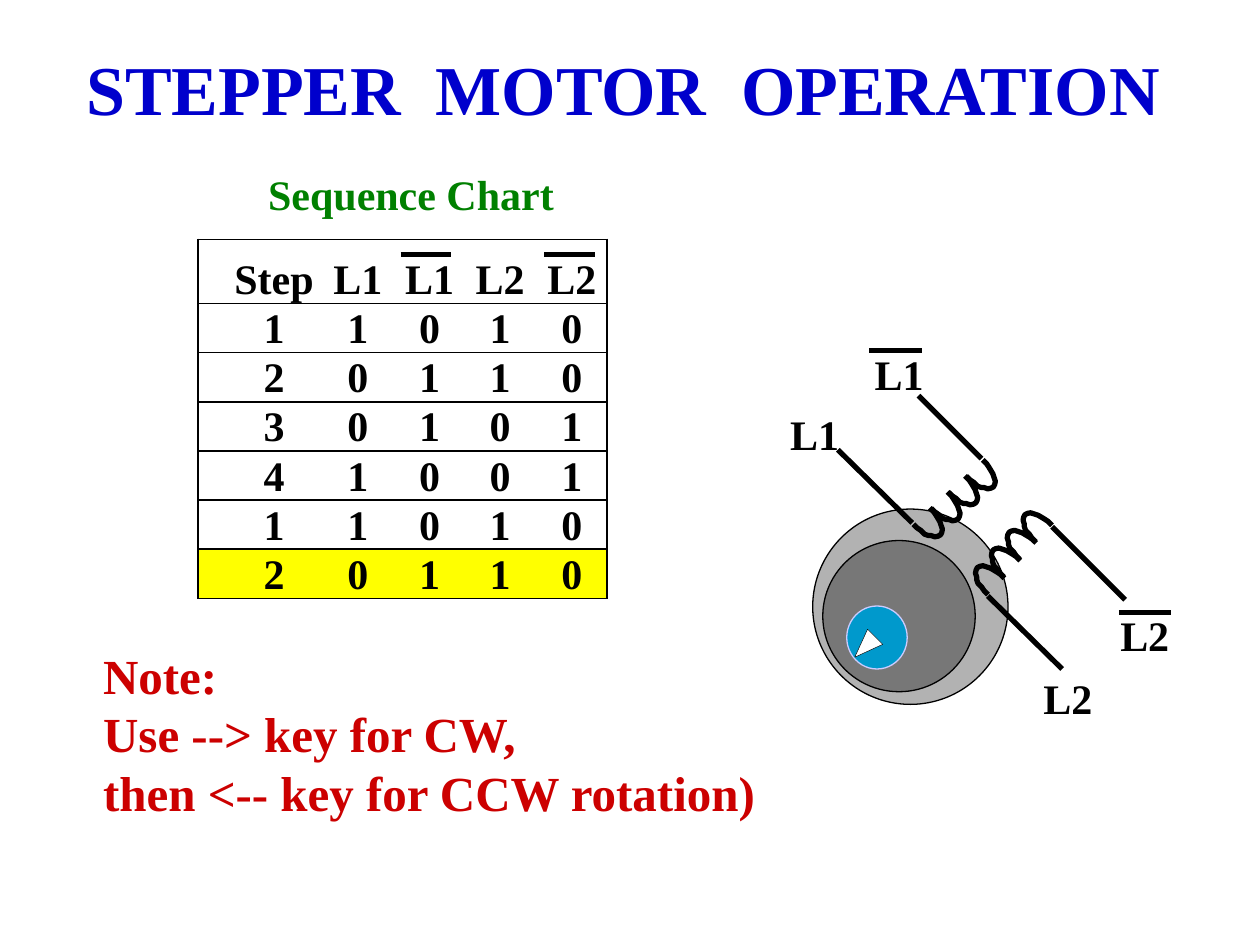
from dataclasses import dataclass
from typing import Any

from pptx import Presentation
from pptx.dml.color import RGBColor
from pptx.enum.shapes import MSO_CONNECTOR, MSO_SHAPE
from pptx.enum.text import MSO_ANCHOR, MSO_AUTO_SIZE, PP_ALIGN
from pptx.oxml import parse_xml
from pptx.oxml.ns import nsdecls
from pptx.util import Inches, Pt
from lxml.etree import SubElement

GRID_COLUMNS, GRID_ROWS = 1000, 750
DRAWING = "{http://schemas.openxmlformats.org/drawingml/2006/main}"
BLACK, WHITE, YELLOW = "000000", "FFFFFF", "FFFF00"

deck = Presentation()
deck.slide_width, deck.slide_height = Inches(10), Inches(7.5)


@dataclass(frozen=True)
class Area:
    column: float
    row: float
    columns: float
    rows: float

    def lengths(self) -> tuple[int, ...]:
        return (across(self.column), down(self.row),
                across(self.columns), down(self.rows))


@dataclass(frozen=True)
class Solid:
    kind: MSO_SHAPE
    area: Area
    fill: str
    outline: str = BLACK
    weight: float = 0.75
    rotation: float = 0


@dataclass(frozen=True)
class Caption:
    text: str
    area: Area
    size: int = 24
    colour: str = BLACK
    alignment: PP_ALIGN = PP_ALIGN.CENTER


@dataclass(frozen=True)
class Coil:
    start: tuple[float, float]
    step: tuple[float, float]
    mirrored: bool


@dataclass(frozen=True)
class Stroke:
    start: tuple[float, float]
    end: tuple[float, float]


def across(columns: float) -> int:
    return round(deck.slide_width * columns / GRID_COLUMNS)


def down(rows: float) -> int:
    return round(deck.slide_height * rows / GRID_ROWS)


def colour_of(value: str) -> RGBColor:
    return RGBColor.from_string(value)


def apply(target: Any, values: dict[str, Any]) -> None:
    for name, value in values.items():
        setattr(target, name, value)


def write(frame: Any, text: str, size: int, colour: str, alignment: PP_ALIGN) -> None:
    for index, line in enumerate(text.split("\n")):
        para = frame.paragraphs[0] if index == 0 else frame.add_paragraph()
        para.alignment = alignment
        span = para.add_run()
        span.text = line
        apply(span.font, {"name": "Times New Roman", "size": Pt(size), "bold": True})
        span.font.color.rgb = colour_of(colour)


def fill_caption(box: Any, caption: Caption) -> None:
    apply(box, dict(zip(("left", "top", "width", "height"), caption.area.lengths())))
    apply(box.text_frame, {"word_wrap": False, "auto_size": MSO_AUTO_SIZE.NONE,
                           "vertical_anchor": MSO_ANCHOR.MIDDLE})
    write(box.text_frame, caption.text, caption.size, caption.colour, caption.alignment)


def draw_caption(page: Any, caption: Caption) -> None:
    fill_caption(page.shapes.add_textbox(*caption.area.lengths()), caption)


def draw_solid(page: Any, solid: Solid) -> None:
    shape = page.shapes.add_shape(solid.kind, *solid.area.lengths())
    shape.shadow.inherit = False
    shape.rotation = solid.rotation
    shape.fill.solid()
    shape.fill.fore_color.rgb = colour_of(solid.fill)
    shape.line.color.rgb = colour_of(solid.outline)
    shape.line.width = Pt(solid.weight)


def draw_stroke(page: Any, stroke: Stroke) -> None:
    (column, row), (last_column, last_row) = stroke.start, stroke.end
    wire = page.shapes.add_connector(MSO_CONNECTOR.STRAIGHT, across(column), down(row),
                                     across(last_column), down(last_row))
    wire.line.color.rgb = colour_of(BLACK)
    wire.line.width = Pt(3)
    SubElement(wire._element.spPr, DRAWING + "effectLst")


def draw_coil(page: Any, coil: Coil) -> None:
    turn = [(-row, -column) for column, row in LOOP] if coil.mirrored else LOOP
    for index in range(LOOPS_PER_COIL):
        column = coil.start[0] + index * coil.step[0]
        row = coil.start[1] + index * coil.step[1]
        points = [(across(column + x), down(row + y)) for x, y in turn]
        builder = page.shapes.build_freeform(*points[0])
        builder.add_line_segments(points[1:], close=False)
        loop = builder.convert_to_shape()
        loop.shadow.inherit = False
        loop.fill.background()
        loop.line.color.rgb = colour_of(BLACK)
        loop.line.width = Pt(3)


def set_borders(cell: Any, visible: str) -> None:
    properties = cell._tc.get_or_add_tcPr()
    for index, side in enumerate("LRTB"):
        paint = f'<a:solidFill><a:srgbClr val="{BLACK}"/></a:solidFill>'
        if side not in visible:
            paint = "<a:noFill/>"
        border = f'<a:ln{side} {nsdecls("a")} w="{Pt(1)}">{paint}</a:ln{side}>'
        properties.insert(index, parse_xml(border))


def draw_sequence(page: Any) -> None:
    area = Area(157, 190, sum(COLUMN_WIDTHS), sum(ROW_HEIGHTS))
    frame = page.shapes.add_table(len(SEQUENCE), len(COLUMN_WIDTHS), *area.lengths())
    table = frame.table
    apply(table, {"first_row": False, "horz_banding": False})
    for column, width in zip(table.columns, COLUMN_WIDTHS):
        column.width = across(width)
    for row, height in zip(table.rows, ROW_HEIGHTS):
        row.height = down(height)
    last_row, last_column = len(SEQUENCE) - 1, len(COLUMN_WIDTHS) - 1
    for row, values in enumerate(SEQUENCE):
        for column, value in enumerate(values):
            cell = table.cell(row, column)
            apply(cell, {"margin_left": across(24 if column == 0 else 0),
                         "margin_right": 0, "margin_top": 0, "margin_bottom": 0,
                         "vertical_anchor": MSO_ANCHOR.BOTTOM})
            write(cell.text_frame, value, 24, BLACK, PP_ALIGN.CENTER)
            cell.fill.solid()
            cell.fill.fore_color.rgb = colour_of(YELLOW if row == last_row else WHITE)
            sides = "L" if column == 0 else "R" if column == last_column else ""
            set_borders(cell, sides + "TB")


SEQUENCE = [("Step", "L1", "L1", "L2", "L2"), *("11010", "20110", "30101", "41001",
                                                "11010", "20110")]
COLUMN_WIDTHS = (97, 60, 54, 58, 56)
ROW_HEIGHTS = (51,) + (39,) * 6
LOOPS_PER_COIL = 4
LOOP = [(0, 0), (3, 3), (5, 6), (8, 11), (9, 14), (10, 17), (9.5, 19.5), (8.5, 21.5),
        (6.5, 22.5), (4, 23), (1, 22), (-1, 22), (-4, 21), (-7, 18), (-10, 16), (-13, 13)]
COILS = [Coil((780, 365), (-14, 12.7), False), Coil((835, 417), (-12.6, 14), True)]
MOTOR = [
    Solid(MSO_SHAPE.OVAL, Area(645, 404, 155, 155), "B2B2B2"),
    Solid(MSO_SHAPE.OVAL, Area(653, 429, 121, 120), "777777"),
    Solid(MSO_SHAPE.OVAL, Area(672, 481, 48, 50), "0099CC", "CCCCFF"),
    Solid(MSO_SHAPE.ISOSCELES_TRIANGLE, Area(678, 502, 17, 23), WHITE, BLACK, 0.25, 225),
]
STROKES = [
    Stroke((318, 202), (358, 202)), Stroke((432, 202), (472, 202)),
    Stroke((690, 278), (732, 278)), Stroke((888, 486), (929, 486)),
    Stroke((779, 364), (729, 314)), Stroke((724, 415), (665, 357)),
    Stroke((843, 531), (784, 473)), Stroke((893, 476), (835, 418)),
]
TITLE = Caption("STEPPER  MOTOR  OPERATION", Area(56, 31, 877, 77), 40, "0000CC")
CAPTIONS = [
    Caption("Sequence Chart", Area(203, 129, 247, 50), 24, "008000", PP_ALIGN.LEFT),
    Caption("Note:\nUse --> key for CW,\nthen <-- key for CCW rotation)",
            Area(72, 507, 539, 150), 28, "CC0000", PP_ALIGN.LEFT),
    Caption("L1", Area(617, 319, 59, 50)), Caption("L1", Area(684, 272, 59, 50)),
    Caption("L2", Area(818, 529, 59, 50)), Caption("L2", Area(879, 479, 59, 50)),
]


def main() -> None:
    page = deck.slides.add_slide(deck.slide_layouts[5])
    fill_caption(page.shapes.title, TITLE)
    draw_sequence(page)
    for draw, items in ((draw_solid, MOTOR), (draw_coil, COILS),
                        (draw_stroke, STROKES), (draw_caption, CAPTIONS)):
        for item in items:
            draw(page, item)
    deck.save("out.pptx")


if __name__ == "__main__":
    main()
